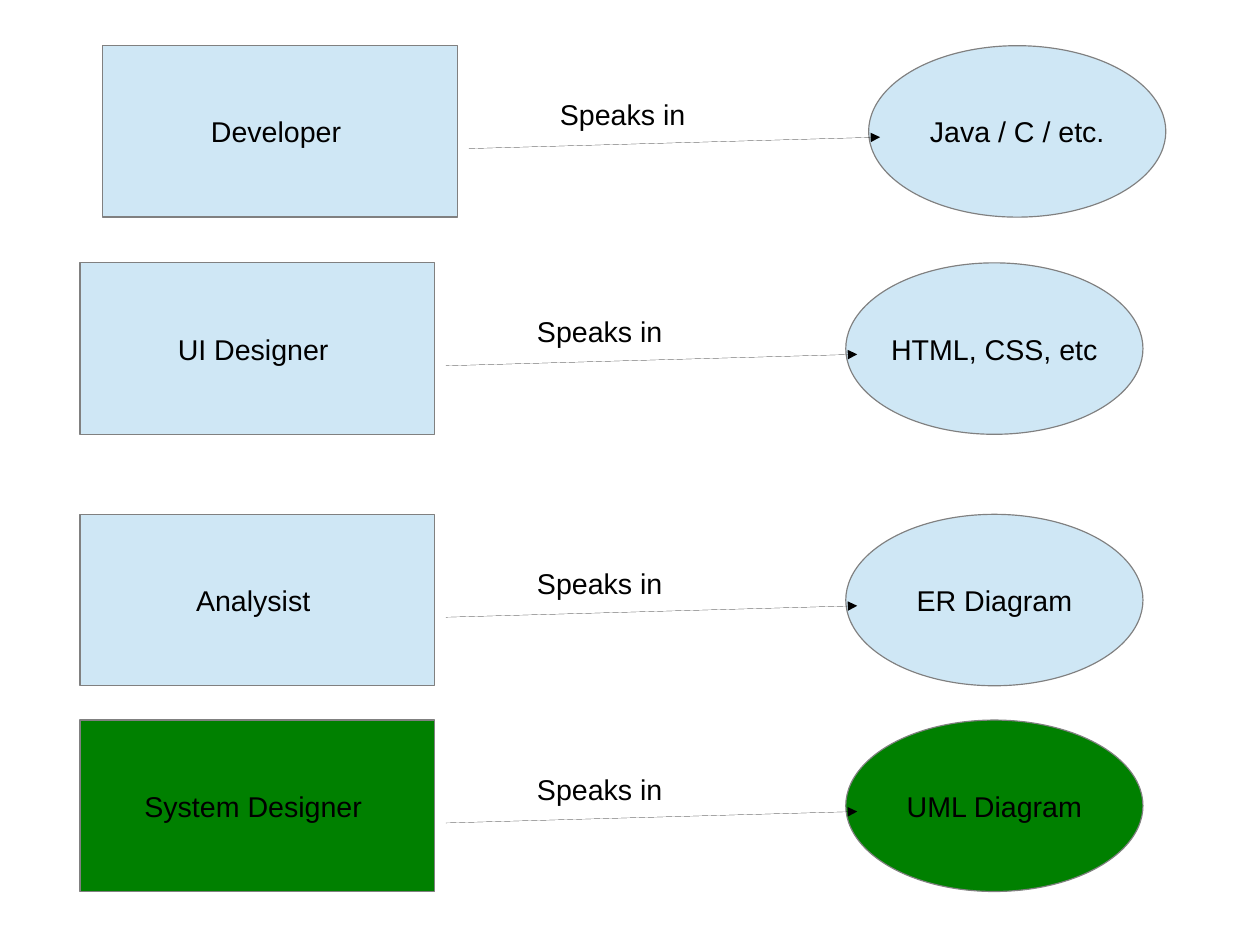
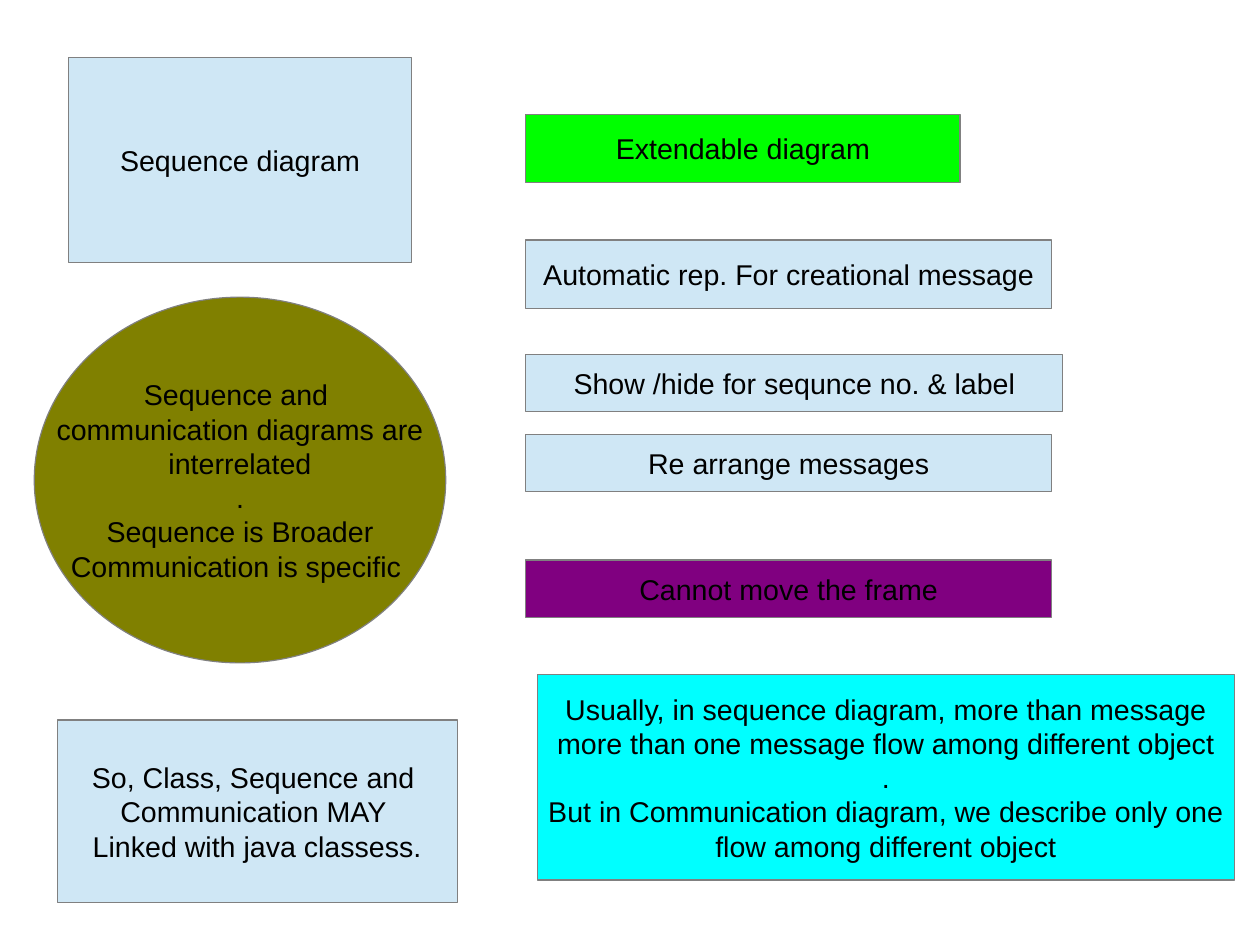
from dataclasses import dataclass

from lxml import etree
from pptx import Presentation
from pptx.dml.color import RGBColor
from pptx.enum.shapes import MSO_CONNECTOR, MSO_SHAPE
from pptx.enum.text import MSO_ANCHOR, PP_ALIGN
from pptx.oxml.ns import qn
from pptx.util import Cm, Pt

RECT, OVAL = MSO_SHAPE.RECTANGLE, MSO_SHAPE.OVAL
STRAIGHT = MSO_CONNECTOR.STRAIGHT
MIDDLE, TOP = MSO_ANCHOR.MIDDLE, MSO_ANCHOR.TOP
CENTER, LEFT = PP_ALIGN.CENTER, PP_ALIGN.LEFT

EMU_PER_PX = 9144
SLIDE_WIDTH, SLIDE_HEIGHT = Cm(28), Cm(21)
FONT, TEXT_SIZE, HAIRLINE = "Arial", Pt(18), Pt(0)
COLORS = {
    "text": "000000",
    "arrow": "000000",
    "outline": "808080",
    "pale": "CFE7F5",
    "green": "008000",
    "lime": "00FF00",
    "purple": "800080",
    "olive": "808000",
    "cyan": "00FFFF",
}


@dataclass
class Node:
    left: int
    top: int
    width: int
    height: int
    text: str
    fill: str = "pale"
    kind: MSO_SHAPE = RECT


@dataclass
class RoleRow:
    left: int
    top: int
    role: str
    language: str
    fill: str = "pale"


ROLE_ROWS = [
    RoleRow(90, 40, "Developer ", "Java / C / etc."),
    RoleRow(70, 230, "UI Designer ", "HTML, CSS, etc"),
    RoleRow(70, 450, "Analysist ", "ER Diagram"),
    RoleRow(70, 630, "System Designer ", "UML Diagram", "green"),
]

SEQUENCE_NODES = [
    Node(60, 50, 300, 180, "Sequence diagram"),
    Node(460, 100, 380, 60, "Extendable diagram", "lime"),
    Node(460, 210, 460, 60, "Automatic rep. For creational message"),
    Node(460, 310, 470, 50, "Show /hide for sequnce no. & label"),
    Node(460, 380, 460, 50, "Re arrange messages"),
    Node(460, 490, 460, 50, "Cannot move the frame", "purple"),
    Node(30, 260, 360, 320,
         "Sequence and \vcommunication diagrams are\vinterrelated\n.\n"
         "Sequence is Broader\vCommunication is specific ", "olive", OVAL),
    Node(470, 590, 610, 180,
         "Usually, in sequence diagram, more than message\v"
         "more than one message flow among different object\n.\n"
         "But in Communication diagram, we describe only one\v"
         "flow among different object", "cyan"),
    Node(50, 630, 350, 160,
         "So, Class, Sequence and \vCommunication MAY \n"
         "Linked with java classess."),
]


def px(*lengths: int) -> list[int]:
    return [length * EMU_PER_PX for length in lengths]


def color(name: str) -> RGBColor:
    return RGBColor.from_string(COLORS[name])


def write(frame, text: str, align: PP_ALIGN, anchor: MSO_ANCHOR) -> None:
    frame.word_wrap = False
    frame.vertical_anchor = anchor
    frame.text = text
    for paragraph in frame.paragraphs:
        paragraph.alignment = align
        for run in paragraph.runs:
            run.font.name = FONT
            run.font.size = TEXT_SIZE
            run.font.color.rgb = color("text")


def draw_node(slide, node: Node) -> None:
    shape = slide.shapes.add_shape(
        node.kind, *px(node.left, node.top, node.width, node.height))
    shape.shadow.inherit = False
    shape.fill.solid()
    shape.fill.fore_color.rgb = color(node.fill)
    shape.line.color.rgb = color("outline")
    shape.line.width = HAIRLINE
    write(shape.text_frame, node.text, CENTER, MIDDLE)


def draw_arrow(slide, x1: int, y1: int, x2: int, y2: int) -> None:
    arrow = slide.shapes.add_connector(STRAIGHT, *px(x1, y1, x2, y2))
    arrow.line.color.rgb = color("arrow")
    arrow.line.width = HAIRLINE
    outline = arrow._element.spPr.find(qn("a:ln"))
    outline.set("w", "0")
    etree.SubElement(outline, qn("a:tailEnd"), type="triangle")
    etree.SubElement(arrow._element.spPr, qn("a:effectLst"))


def draw_role_row(slide, row: RoleRow) -> None:
    left, top = row.left, row.top
    draw_node(slide, Node(left, top, 310, 150, row.role, row.fill))
    draw_node(slide, Node(left + 670, top, 260, 150, row.language, row.fill, OVAL))
    draw_arrow(slide, left + 320, top + 90, left + 680, top + 80)
    label = slide.shapes.add_textbox(*px(left + 390, top + 40, 240, 38))
    write(label.text_frame, "Speaks in", LEFT, TOP)


def main() -> None:
    deck = Presentation()
    deck.slide_width, deck.slide_height = SLIDE_WIDTH, SLIDE_HEIGHT
    blank = deck.slide_layouts[6]

    roles = deck.slides.add_slide(blank)
    for row in ROLE_ROWS:
        draw_role_row(roles, row)

    sequence = deck.slides.add_slide(blank)
    for node in SEQUENCE_NODES:
        draw_node(sequence, node)

    deck.save("out.pptx")


if __name__ == "__main__":
    main()
